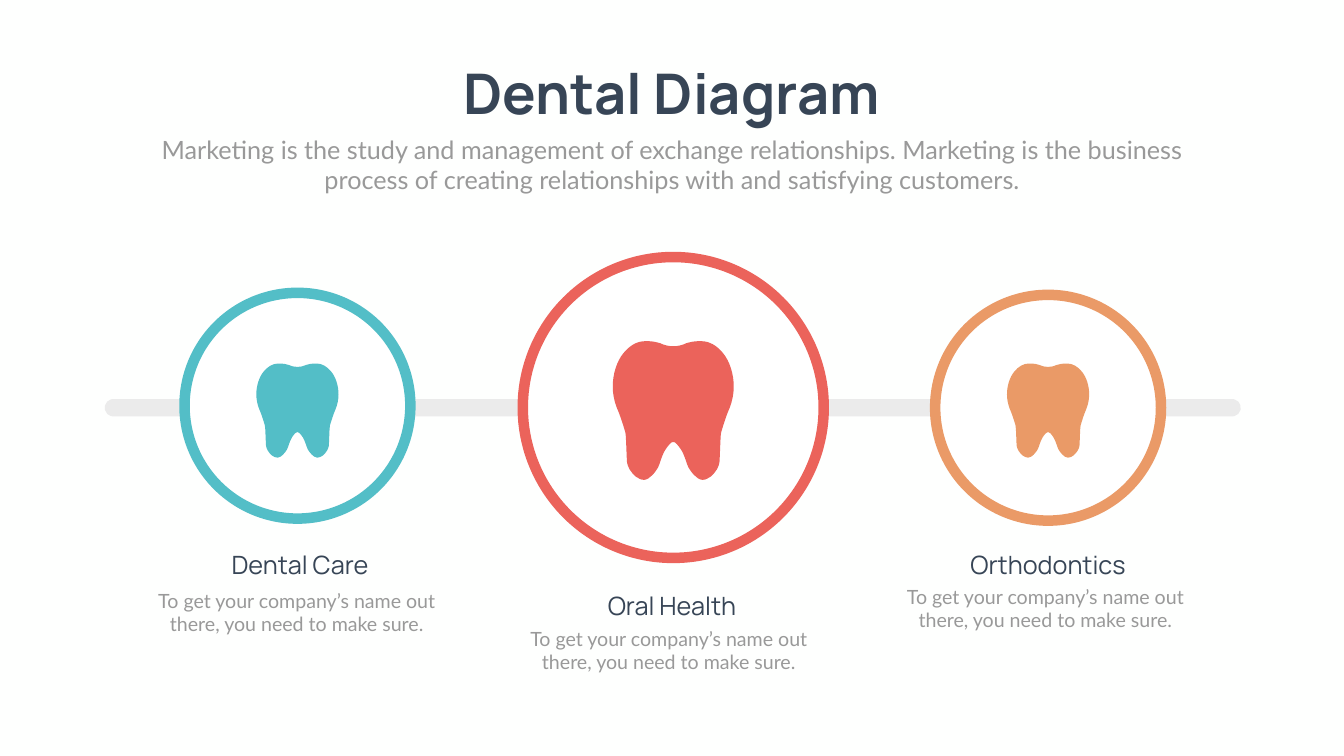
from dataclasses import dataclass
from itertools import chain

from lxml.etree import SubElement
from pptx import Presentation
from pptx.dml.color import RGBColor
from pptx.enum.shapes import MSO_SHAPE
from pptx.enum.text import MSO_AUTO_SIZE, PP_ALIGN
from pptx.oxml.ns import qn
from pptx.util import Inches, Pt

COLORS = {
    "background": "FEFFFE",
    "dark": "374556",
    "gray": "999999",
    "bar": "EBEBEB",
    "white": "FFFFFF",
    "teal": "53BEC7",
    "red": "EB635B",
    "orange": "EA9A67",
}
HEADING_FONT = "Manrope"
BODY_FONT = "Lato"
BODY_TEXT = "To get your company’s name out there, you need to make sure."
TOOTH_CENTER_Y = 8.15
TOOTH_UNITS_WIDE = 240
TOOTH_UNITS_HIGH = 276
HALF_TOOTH_START = (0, 10)
HALF_TOOTH_CURVES = [
    ((9, 10), (18, 8), (26, 4)),
    ((33, 2), (41, 0), (49, 0)),
    ((51, 0), (54, 0), (56, 0)),
    ((72, 0), (87, 9), (99, 24)),
    ((112, 40), (120, 65), (120, 90)),
    ((120, 105), (117, 119), (112, 132)),
    ((105, 148), (100, 164), (95, 181)),
    ((94, 187), (94, 187), (92, 237)),
    ((92, 241), (90, 252), (81, 262)),
    ((77, 267), (72, 271), (67, 273)),
    ((62, 276), (54, 276), (49, 272)),
    ((44, 268), (40, 265), (35, 258)),
    ((27, 248), (27, 240), (21, 226)),
    ((19, 220), (14, 212), (7, 204)),
    ((5, 201), (2, 200), (0, 200)),
]


@dataclass
class Step:
    title: str
    color: str
    circle: tuple
    tooth_width: float
    title_box: tuple
    body_box: tuple


STEPS = [
    Step("Dental Care", "teal", (3.66, 5.81, 4.48), 1.63,
         (4.32, 10.84, 3.26, 0.71), (2.88, 11.63, 6.01, 1.04)),
    Step("Oral Health", "red", (10.37, 5.1, 5.97), 2.4,
         (11.7, 11.67, 3.26, 0.71), (10.26, 12.38, 6.01, 1.04)),
    Step("Orthodontics", "orange", (18.55, 5.85, 4.48), 1.63,
         (18.55, 10.84, 4.48, 0.71), (17.73, 11.55, 6.01, 1.04)),
]


def color_of(name):
    return RGBColor.from_string(COLORS[name])


def add_text(slide, box, text, size, font_name, color, bold=False, wrap=True):
    text_box = slide.shapes.add_textbox(*(Inches(value) for value in box))
    frame = text_box.text_frame
    frame.word_wrap = wrap
    frame.auto_size = MSO_AUTO_SIZE.SHAPE_TO_FIT_TEXT
    paragraph = frame.paragraphs[0]
    paragraph.text = text
    paragraph.alignment = PP_ALIGN.CENTER
    font = paragraph.font
    font.size = Pt(size)
    font.name = font_name
    font.bold = bold
    font.color.rgb = color_of(color)


def add_outlined_shape(slide, kind, box, line_color, line_width):
    shape = slide.shapes.add_shape(kind, *(Inches(value) for value in box))
    shape.shadow.inherit = False
    shape.fill.solid()
    shape.fill.fore_color.rgb = color_of("white")
    shape.line.color.rgb = color_of(line_color)
    shape.line.width = Pt(line_width)
    return shape


def add_path_points(outline, tag, points):
    segment = SubElement(outline, qn(tag))
    for x, y in points:
        SubElement(segment, qn("a:pt"), x=str(x + TOOTH_UNITS_WIDE // 2), y=str(y))


def draw_tooth_outline(outline):
    for child in list(outline):
        outline.remove(child)
    outline.set("w", str(TOOTH_UNITS_WIDE))
    outline.set("h", str(TOOTH_UNITS_HIGH))
    right = [HALF_TOOTH_START, *chain.from_iterable(HALF_TOOTH_CURVES)]
    left = [(-x, y) for x, y in reversed(right)]
    points = right + left[1:]
    add_path_points(outline, "a:moveTo", points[:1])
    for index in range(1, len(points), 3):
        add_path_points(outline, "a:cubicBezTo", points[index:index + 3])
    SubElement(outline, qn("a:close"))


def add_tooth(slide, box, color):
    left, top, width, height = (Inches(value) for value in box)
    builder = slide.shapes.build_freeform(left, top)
    builder.add_line_segments([(left + width, top), (left + width, top + height)])
    tooth = builder.convert_to_shape()
    draw_tooth_outline(tooth.element.find(".//" + qn("a:path")))
    tooth.shadow.inherit = False
    tooth.fill.solid()
    tooth.fill.fore_color.rgb = color_of(color)
    tooth.line.fill.background()


def add_header(slide, title_box, subtitle_box):
    add_text(slide, title_box, "Dental Diagram", 80, HEADING_FONT, "dark",
             bold=True, wrap=False)
    add_text(slide, subtitle_box,
             "Marketing is the study and management of exchange relationships. "
             "Marketing is the business process of creating relationships with "
             "and satisfying customers.", 36, BODY_FONT, "gray")


def add_bar(slide, box):
    bar = add_outlined_shape(slide, MSO_SHAPE.ROUNDED_RECTANGLE, box, "bar", 22)
    bar.adjustments[0] = 0.5
    bar.fill.background()


def add_step(slide, step):
    left, top, diameter = step.circle
    add_outlined_shape(slide, MSO_SHAPE.OVAL, (left, top, diameter, diameter),
                       step.color, 15)
    width = step.tooth_width
    height = width * TOOTH_UNITS_HIGH / TOOTH_UNITS_WIDE
    tooth_box = (left + (diameter - width) / 2, TOOTH_CENTER_Y - height / 2,
                 width, height)
    add_tooth(slide, tooth_box, step.color)
    add_text(slide, step.title_box, step.title, 36, HEADING_FONT, "dark")
    add_text(slide, step.body_box, BODY_TEXT, 28, BODY_FONT, "gray")


def main():
    presentation = Presentation()
    presentation.slide_width = Inches(26.66)
    presentation.slide_height = Inches(15)
    slide = presentation.slides.add_slide(presentation.slide_layouts[6])
    slide.background.fill.solid()
    slide.background.fill.fore_color.rgb = color_of("background")
    add_header(slide, (8.65, 1.12, 9.35, 1.45), (2.92, 2.61, 20.82, 1.31))
    add_bar(slide, (2.23, 8.07, 22.23, 0.04))
    for step in STEPS:
        add_step(slide, step)
    presentation.save("out.pptx")


if __name__ == "__main__":
    main()
